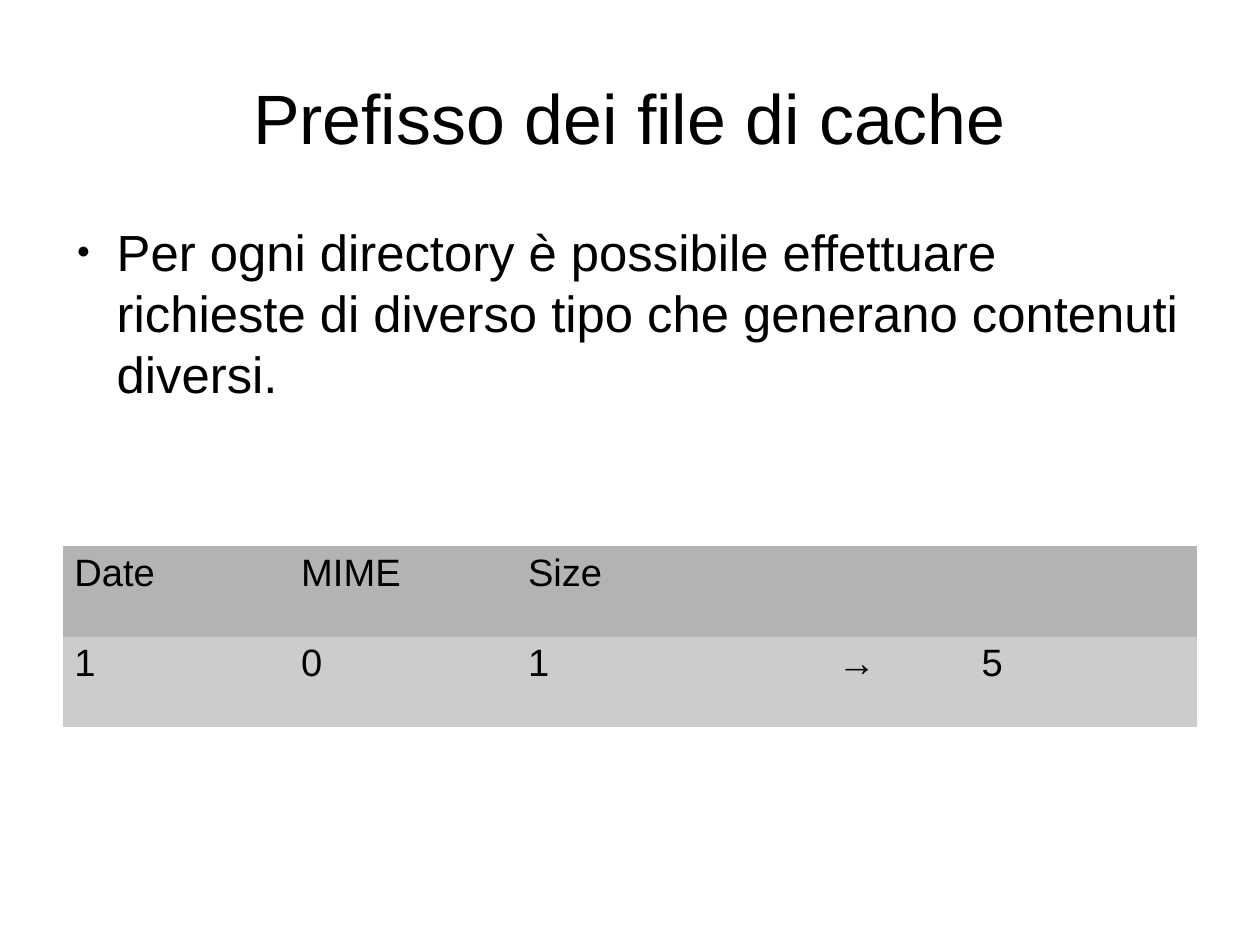
from lxml.etree import SubElement
from pptx import Presentation
from pptx.dml.color import RGBColor
from pptx.enum.text import MSO_ANCHOR, PP_ALIGN
from pptx.oxml.ns import qn
from pptx.util import Cm, Inches, Pt

WIDTH, HEIGHT = Cm(28), Cm(21)
MARGIN = int(WIDTH * 0.05)
CONTENT = int(WIDTH * 0.9)
FONT, INK = "Arial", "000000"
TITLE = "Prefisso dei file di cache"
BODY = ("Per ogni directory è possibile effettuare richieste di diverso tipo "
        "che generano contenuti diversi.")
ROWS = [
    ("B3B3B3", ["Date", "MIME", "Size", "", ""]),
    ("CCCCCC", ["1", "0", "1", "→", "5"]),
]
ROW_HEIGHT = Inches(0.79)


def color(value):
    return RGBColor.from_string(value)


def write(para, text, size):
    span = para.add_run()
    span.text = text
    span.font.name = FONT
    span.font.size = Pt(size)
    span.font.bold = False
    span.font.color.rgb = color(INK)


def add_text(page, top, height, text, size, anchor):
    box = page.shapes.add_textbox(MARGIN, Inches(top), CONTENT, Inches(height))
    frame = box.text_frame
    frame.word_wrap = True
    frame.vertical_anchor = anchor
    frame.margin_left = frame.margin_right = frame.margin_top = frame.margin_bottom = 0
    para = frame.paragraphs[0]
    write(para, text, size)
    return para


def add_bullet(para):
    para.space_after = Pt(18.9)
    props = para._p.get_or_add_pPr()
    props.set("marL", str(Inches(0.47)))
    props.set("indent", str(Inches(-0.35)))
    tint = SubElement(props, qn("a:buClr"))
    SubElement(tint, qn("a:srgbClr"), val=INK)
    SubElement(props, qn("a:buSzPct"), val="45000")
    SubElement(props, qn("a:buFont"), typeface=FONT)
    SubElement(props, qn("a:buChar"), char="●")


def hide_borders(cell):
    props = cell._tc.get_or_add_tcPr()
    for place, side in enumerate(("a:lnL", "a:lnR", "a:lnT", "a:lnB")):
        border = SubElement(props, qn(side))
        SubElement(border, qn("a:noFill"))
        props.insert(place, border)


def add_cache_table(page):
    columns = len(ROWS[0][1])
    frame = page.shapes.add_table(len(ROWS), columns, MARGIN, Inches(4.78),
                                  CONTENT, ROW_HEIGHT * len(ROWS))
    table = frame.table
    for column in table.columns:
        column.width = CONTENT // columns
    for row, (fill, texts) in enumerate(ROWS):
        table.rows[row].height = ROW_HEIGHT
        for col, text in enumerate(texts):
            cell = table.cell(row, col)
            cell.fill.solid()
            cell.fill.fore_color.rgb = color(fill)
            hide_borders(cell)
            if text:
                para = cell.text_frame.paragraphs[0]
                para.alignment = PP_ALIGN.CENTER if text == "→" else PP_ALIGN.LEFT
                write(para, text, 24)


def main():
    deck = Presentation()
    deck.slide_width, deck.slide_height = WIDTH, HEIGHT
    page = deck.slides.add_slide(deck.slide_layouts[6])
    title = add_text(page, 0.33, 1.38, TITLE, 44, MSO_ANCHOR.MIDDLE)
    title.alignment = PP_ALIGN.CENTER
    add_bullet(add_text(page, 1.93, 2.6, BODY, 32, MSO_ANCHOR.TOP))
    add_cache_table(page)
    deck.save("out.pptx")


if __name__ == "__main__":
    main()
